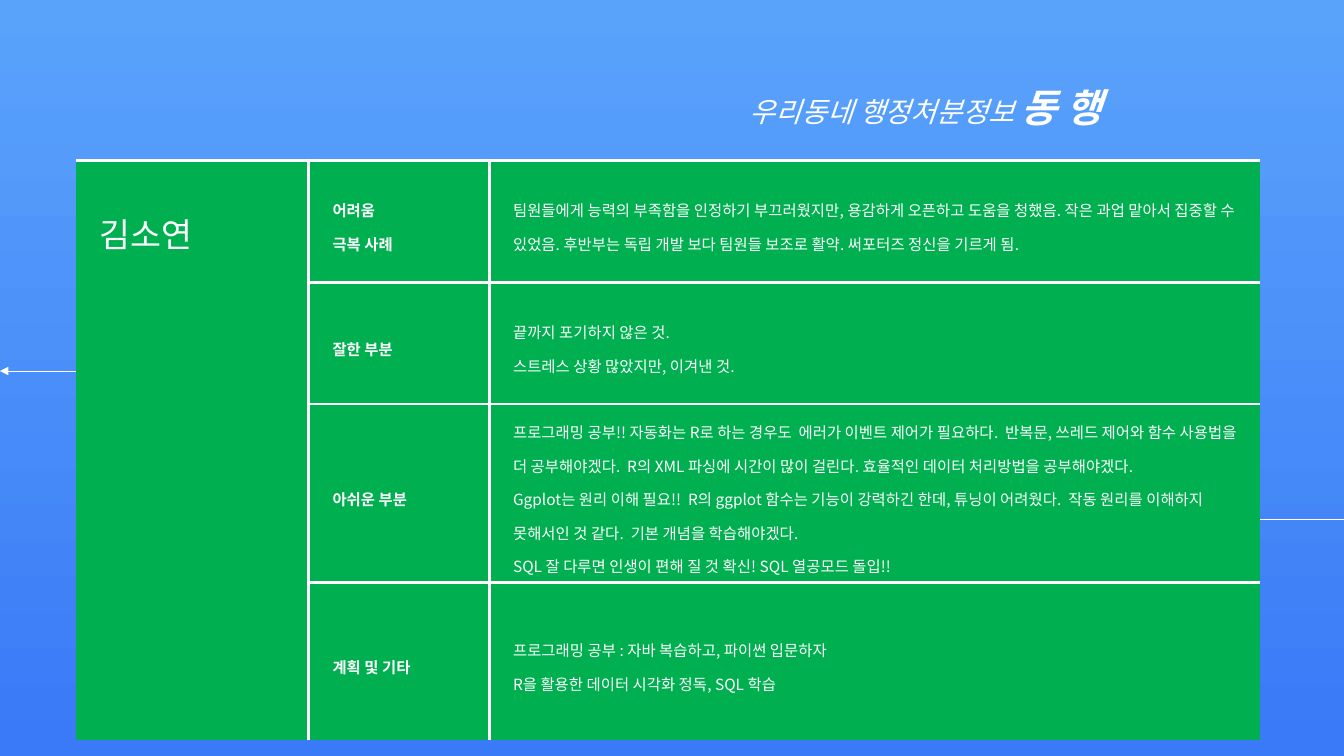
import pptx
import pptx.util
import pptx.dml.color
import pptx.enum.shapes
import pptx.enum.text
import pptx.oxml.ns
from lxml import etree

Cm = pptx.util.Cm
Pt = pptx.util.Pt
qn = pptx.oxml.ns.qn
FONT = "Noto Sans CJK KR"
HUES = {"sky": "5AA3FB", "blue": "3A79F7", "green": "00B050", "white": "FFFFFF"}
RGB = {name: pptx.dml.color.RGBColor.from_string(code) for name, code in HUES.items()}


def style(para, size, bold=False):
    para.line_spacing = 1.5
    font = para.font
    font.size = Pt(size)
    font.bold = bold
    font.name = FONT
    font.color.rgb = RGB["white"]
    east = etree.SubElement(font._element, qn("a:ea"))
    east.set("typeface", FONT)


def border(cell, side, shown):
    line = etree.SubElement(cell._tc.get_or_add_tcPr(), qn("a:ln" + side))
    line.set("w", str(Pt(2.25)))
    if shown:
        fill = etree.SubElement(line, qn("a:solidFill"))
        etree.SubElement(fill, qn("a:srgbClr")).set("val", HUES["white"])
    else:
        etree.SubElement(line, qn("a:noFill"))


deck = pptx.Presentation()
deck.slide_width = Cm(33.87)
deck.slide_height = Cm(19.05)
slide = deck.slides.add_slide(deck.slide_layouts[5])

back = slide.background.fill
back.gradient()
back.gradient_angle = 270
for stop, hue, place in zip(back.gradient_stops, ("sky", "blue"), (0, 1)):
    stop.color.rgb = RGB[hue]
    stop.position = place

arrow = slide.shapes.add_connector(
    pptx.enum.shapes.MSO_CONNECTOR.ELBOW, Cm(33.87), Cm(13.08), Cm(0), Cm(9.35))
arrow.line.color.rgb = RGB["white"]
arrow.line.width = Pt(0.5)
etree.SubElement(arrow.line._get_or_add_ln(), qn("a:tailEnd")).set("type", "triangle")
etree.SubElement(arrow._element.spPr, qn("a:effectLst"))

rows = [
    (3.07, ["어려움", "극복 사례"],
     ["팀원들에게 능력의 부족함을 인정하기 부끄러웠지만, 용감하게 오픈하고 도움을 청했음. "
      "작은 과업 맡아서 집중할 수 있었음. 후반부는 독립 개발 보다 팀원들 보조로 활약. "
      "써포터즈 정신을 기르게 됨."]),
    (3.07, ["잘한 부분"],
     ["끝까지 포기하지 않은 것.", "스트레스 상황 많았지만, 이겨낸 것."]),
    (4.5, ["아쉬운 부분"],
     ["프로그래밍 공부!! 자동화는 R로 하는 경우도  에러가 이벤트 제어가 필요하다.  "
      "반복문, 쓰레드 제어와 함수 사용법을 더 공부해야겠다.  R의 XML 파싱에 시간이 많이 걸린다. "
      "효율적인 데이터 처리방법을 공부해야겠다. ",
      "Ggplot는 원리 이해 필요!!  R의 ggplot 함수는 기능이 강력하긴 한데, 튜닝이 어려웠다.  "
      "작동 원리를 이해하지 못해서인 것 같다.  기본 개념을 학습해야겠다.",
      "SQL 잘 다루면 인생이 편해 질 것 확신! SQL 열공모드 돌입!!"]),
    (3.96, ["계획 및 기타"],
     ["프로그래밍 공부 : 자바 복습하고, 파이썬 입문하자",
      "R을 활용한 데이터 시각화 정독, SQL 학습"]),
]
widths = [5.87, 4.55, 19.43]
high = sum(row[0] for row in rows)
frame = slide.shapes.add_table(
    len(rows), len(widths), Cm(1.91), Cm(4.04), Cm(sum(widths)), Cm(high))
table = frame.table
table.first_row = False
table.horz_banding = False
for col, width in zip(table.columns, widths):
    col.width = Cm(width)

for r, (height, label, notes) in enumerate(rows):
    table.rows[r].height = Cm(height)
    for c, lines in enumerate([["김소연"] if r == 0 else [], label, notes]):
        cell = table.cell(r, c)
        border(cell, "L", c > 0)
        border(cell, "R", c < len(widths) - 1)
        border(cell, "T", c > 0 or r == 0)
        border(cell, "B", c > 0 and r < len(rows) - 1)
        cell.fill.solid()
        cell.fill.fore_color.rgb = RGB["green"]
        cell.margin_left = Cm(0.6)
        cell.margin_right = Cm(0.25)
        cell.margin_top = Cm(0.13 if c else 0.6)
        cell.margin_bottom = Cm(0.13)
        anchor = pptx.enum.text.MSO_ANCHOR
        cell.vertical_anchor = anchor.MIDDLE if c else anchor.TOP
        cell.text = "\n".join(lines)
        for para in cell.text_frame.paragraphs:
            style(para, 11 if c else 24, c == 1)
table.cell(0, 0).merge(table.cell(len(rows) - 1, 0))

title = slide.shapes.title
title.left, title.top, title.width, title.height = Cm(18.64), Cm(1.37), Cm(15.23), Cm(1.83)
text = title.text_frame
text.word_wrap = True
text.auto_size = pptx.enum.text.MSO_AUTO_SIZE.SHAPE_TO_FIT_TEXT
text.vertical_anchor = pptx.enum.text.MSO_ANCHOR.TOP
para = text.paragraphs[0]
para.alignment = pptx.enum.text.PP_ALIGN.LEFT
style(para, 20)
para.font.italic = True
para.add_run().text = "우리동네 행정처분정보 "
name = para.add_run()
name.text = "동 행"
name.font.size = Pt(28)
name.font.bold = True

deck.save("out.pptx")
